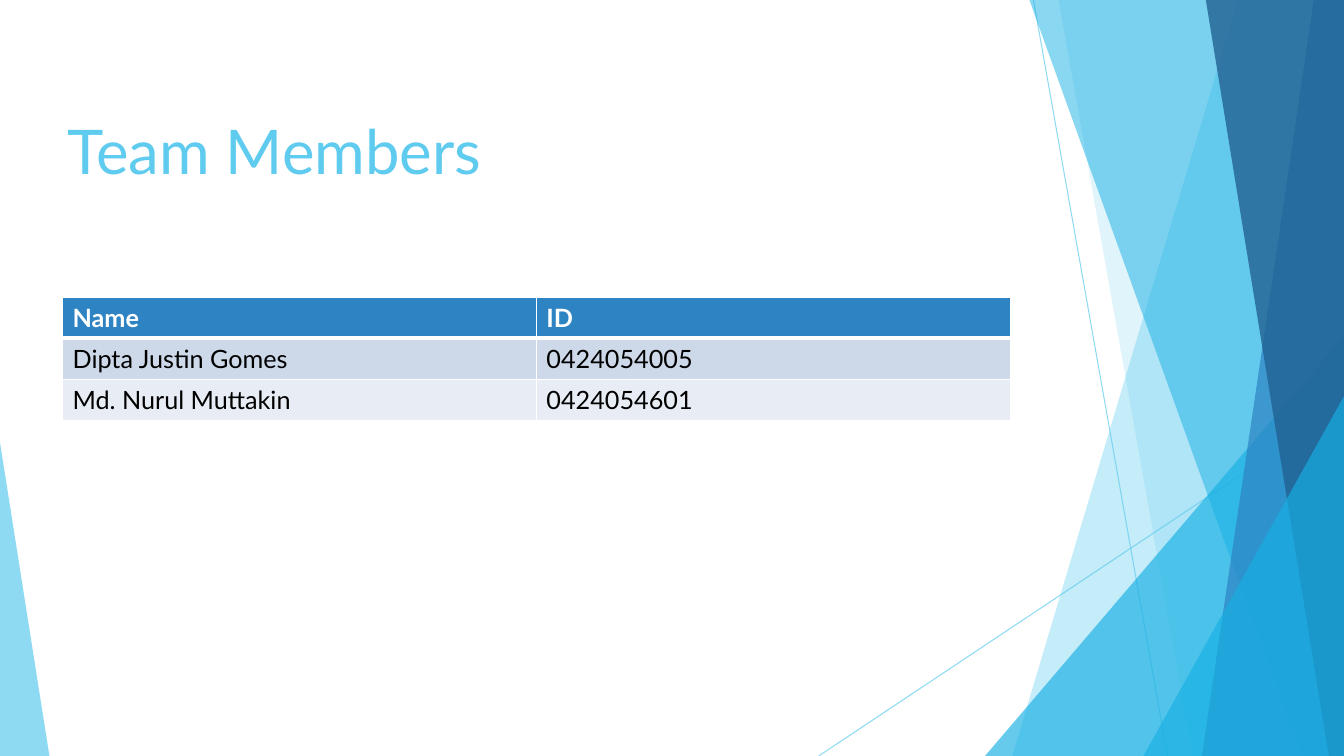
from pptx import Presentation
from pptx.dml.color import RGBColor
from pptx.enum.shapes import MSO_CONNECTOR, MSO_SHAPE
from pptx.enum.text import MSO_ANCHOR, MSO_AUTO_SIZE, PP_ALIGN
from pptx.oxml.ns import qn
from pptx.util import Inches, Pt
from lxml import etree

STRAIGHT = MSO_CONNECTOR.STRAIGHT
TRIANGLE = MSO_SHAPE.ISOSCELES_TRIANGLE
TOP, MIDDLE = MSO_ANCHOR.TOP, MSO_ANCHOR.MIDDLE
LEFT = PP_ALIGN.LEFT
NO_AUTOFIT = MSO_AUTO_SIZE.NONE

WIDTH, HEIGHT = 13.33, 7.5
FONT = "Lato"
COLORS = {
    "sky": "5FCBEF", "cyan": "17B0E4", "blue": "2E83C3", "navy": "226292",
    "white": "FFFFFF", "black": "000000", "odd_row": "CDD9E9", "even_row": "E8EDF5",
}
MEMBERS = [
    ("Name", "ID"),
    ("Dipta Justin Gomes", "0424054005"),
    ("Md. Nurul Muttakin", "0424054601"),
]


def rgb(name):
    return RGBColor.from_string(COLORS[name])


def set_opacity(element, percent):
    color = next(element.iter(qn("a:srgbClr")))
    etree.SubElement(color, qn("a:alpha"), val=str(percent * 1000))


def paint(shape, color, opacity):
    shape.shadow.inherit = False
    shape.fill.solid()
    shape.fill.fore_color.rgb = rgb(color)
    set_opacity(shape.fill._xPr, opacity)
    shape.line.fill.background()


def add_ray(page, start, end):
    ray = page.shapes.add_connector(STRAIGHT, *map(Inches, start + end))
    ray.line.color.rgb = rgb("sky")
    ray.line.width = Pt(0.75)
    set_opacity(ray.line._ln, 70)
    etree.SubElement(ray._element.spPr, qn("a:effectLst"))


def add_band(page, top_x, bottom_x, color, opacity):
    """Fill the area between a slanted edge and the right side of the slide."""
    corners = [(top_x, 0), (WIDTH, 0), (WIDTH, HEIGHT), (bottom_x, HEIGHT)]
    start, *rest = [(Inches(x), Inches(y)) for x, y in corners]
    builder = page.shapes.build_freeform(*start)
    builder.add_line_segments(rest, close=True)
    paint(builder.convert_to_shape(), color, opacity)


def add_corner(page, left, width, height, apex, color, opacity):
    """Place a right triangle on the bottom edge of the slide."""
    corner = page.shapes.add_shape(
        TRIANGLE, Inches(left), Inches(HEIGHT - height), Inches(width), Inches(height))
    corner.adjustments[0] = apex
    paint(corner, color, opacity)


def draw_facets(page):
    add_ray(page, (10.25, 0), (11.58, HEIGHT))
    add_ray(page, (WIDTH, 4.03), (8.12, HEIGHT))
    add_band(page, 12.28, 10.04, "sky", 36)
    add_band(page, 10.5, 11.83, "sky", 20)
    add_corner(page, 9.77, 3.56, 4.17, 1, "cyan", 66)
    add_band(page, 10.21, 12.91, "cyan", 50)
    add_band(page, 13.03, 11.92, "blue", 70)
    add_band(page, 11.96, 13.18, "navy", 80)
    add_corner(page, 11.34, 1.99, 3.57, 1, "cyan", 66)
    add_corner(page, 0, 0.49, 3.11, 0, "sky", 70)


def format_text(para, size, color, bold=False):
    para.alignment = LEFT
    for span in para.runs:
        span.font.name = FONT
        span.font.size = Pt(size)
        span.font.bold = bold
        span.font.color.rgb = rgb(color)


def write_title(page, text, box):
    title = page.shapes.title
    title.left, title.top, title.width, title.height = map(Inches, box)
    frame = title.text_frame
    frame.text = text
    frame.auto_size = NO_AUTOFIT
    frame.word_wrap = True
    frame.vertical_anchor = TOP
    format_text(frame.paragraphs[0], 44, "sky")


def set_borders(cell, widths):
    properties = cell._tc.get_or_add_tcPr()
    for position, (side, points) in enumerate(widths.items()):
        line = etree.Element(qn(f"a:ln{side}"), w=str(Pt(points)))
        fill = etree.SubElement(line, qn("a:solidFill"))
        etree.SubElement(fill, qn("a:srgbClr"), val=COLORS["white"])
        properties.insert(position, line)


def add_member_table(page, rows, box):
    frame = page.shapes.add_table(len(rows), len(rows[0]), *map(Inches, box))
    table = frame.table
    for row_index, values in enumerate(rows):
        header = row_index == 0
        fill = "blue" if header else "odd_row" if row_index % 2 else "even_row"
        widths = {"L": 1, "R": 1, "T": 3 if row_index == 1 else 1, "B": 3 if header else 1}
        for column_index, value in enumerate(values):
            cell = table.cell(row_index, column_index)
            cell.text = value
            cell.vertical_anchor = TOP
            cell.fill.solid()
            cell.fill.fore_color.rgb = rgb(fill)
            set_borders(cell, widths)
            format_text(cell.text_frame.paragraphs[0], 18,
                        "white" if header else "black", header)


def build_team_slide(deck):
    page = deck.slides.add_slide(deck.slide_layouts[5])
    draw_facets(page)
    write_title(page, "Team Members", (0.57, 1.07, 9.5, 1.6))
    add_member_table(page, MEMBERS, (0.62, 2.95, 9.4, 1.22))


def main():
    deck = Presentation()
    deck.slide_width, deck.slide_height = Inches(WIDTH), Inches(HEIGHT)
    build_team_slide(deck)
    deck.save("out.pptx")


if __name__ == "__main__":
    main()
